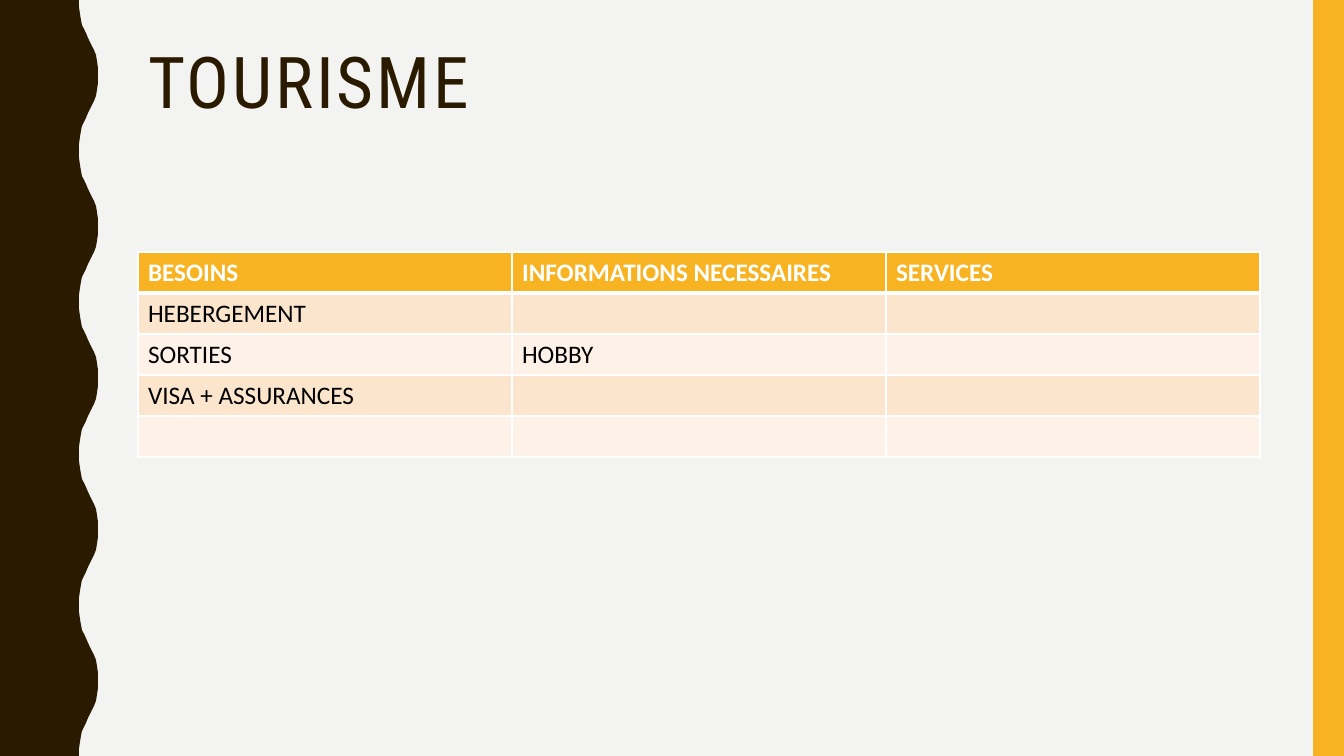
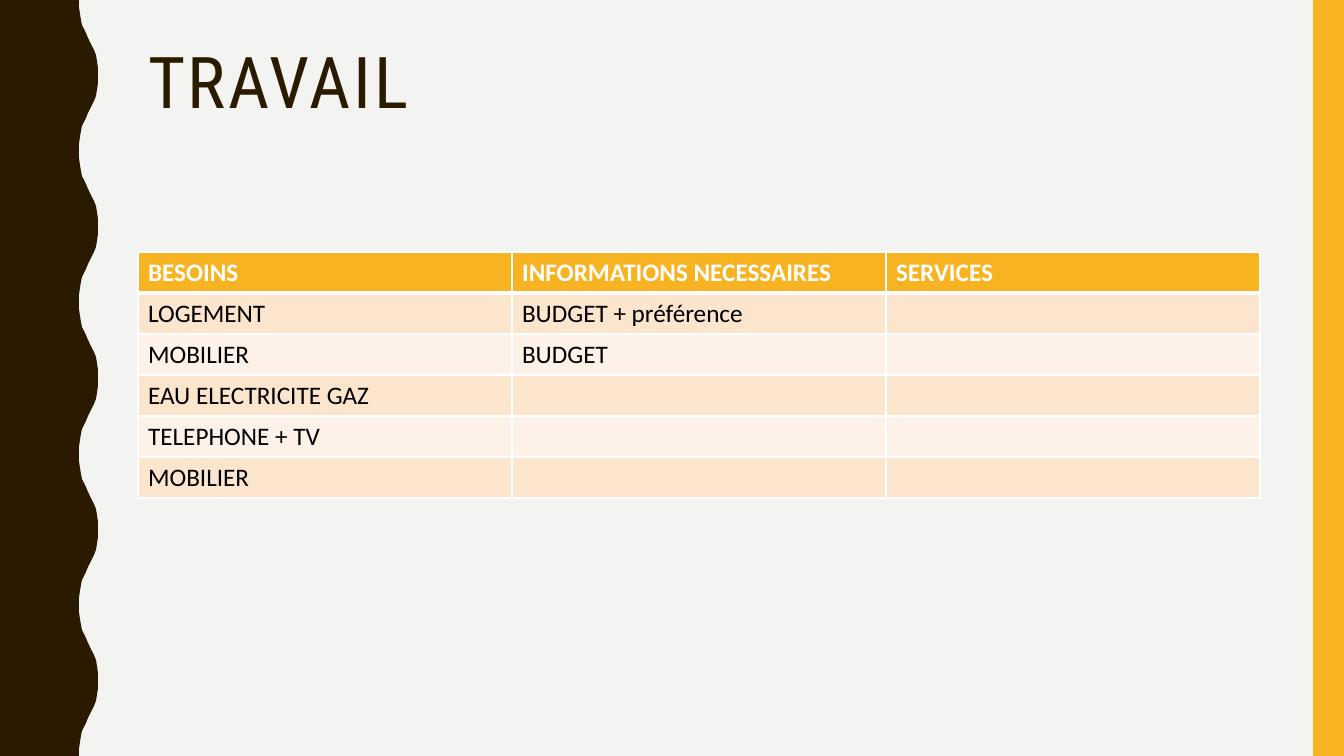
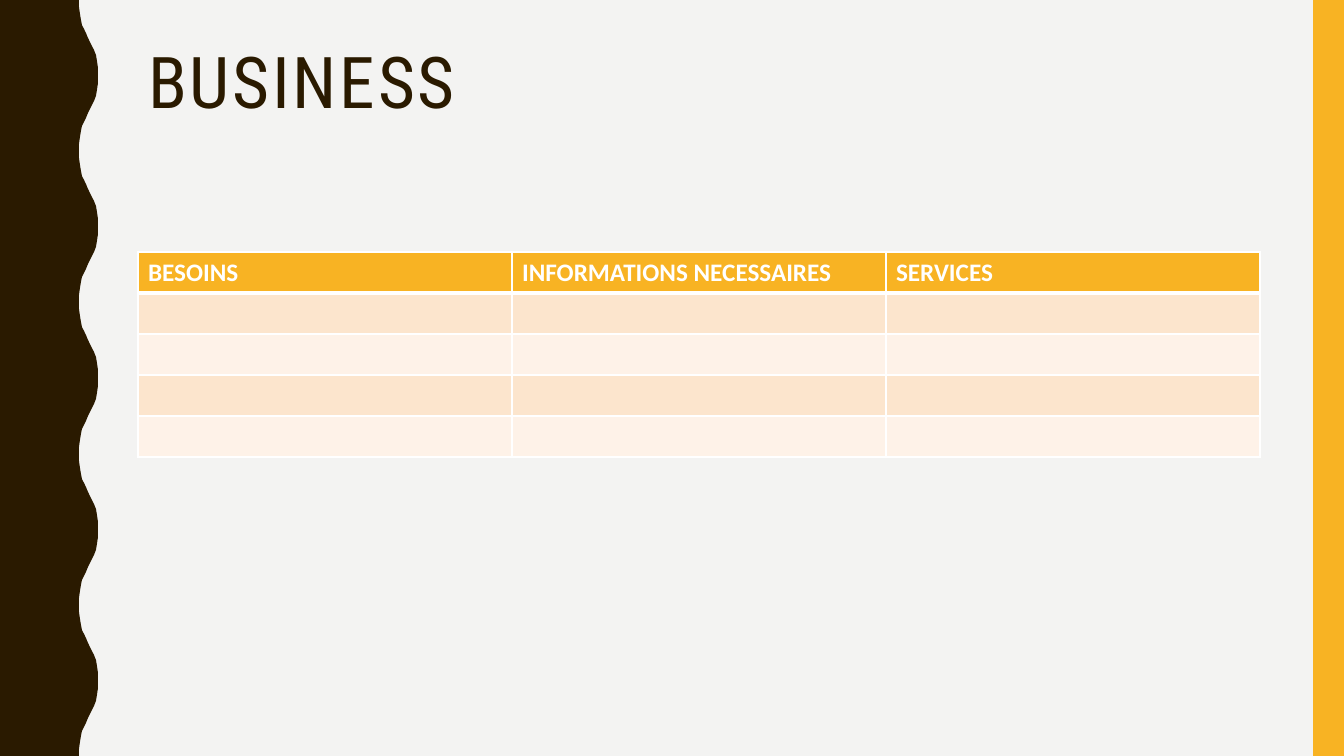
from pptx import Presentation
from pptx.dml.color import RGBColor
from pptx.enum.shapes import MSO_SHAPE
from pptx.enum.text import MSO_ANCHOR, MSO_AUTO_SIZE, PP_ALIGN
from pptx.oxml.ns import qn
from pptx.util import Pt
from lxml.etree import SubElement

PX = 914400 / 100.8
W, H = 1344, 756
LEFT, CONTENT_W = 138, 1122
COLORS = {
    "background": "F3F3F2",
    "brown": "2A1A00",
    "amber": "F8B323",
    "peach": "FCE5CD",
    "cream": "FEF2E8",
    "white": "FFFFFF",
    "black": "000000",
}
TITLE_FONT, BODY_FONT = "Roboto Condensed", "Calibri"
WAVES = 5
RISE = [(79, 0), (79, 7), (80, 14), (81, 20), (82, 25), (84, 29), (86, 33), (88, 38),
        (90, 42), (92, 46), (94, 50), (96, 55), (97, 61), (98, 68)]
HEADERS = ["BESOINS", "INFORMATIONS NECESSAIRES", "SERVICES"]
SLIDES = [
    ("TOURISME", [["HEBERGEMENT"], ["SORTIES", "HOBBY"], ["VISA + ASSURANCES"], []]),
    ("TRAVAIL", [["LOGEMENT", "BUDGET + préférence"], ["MOBILIER", "BUDGET"],
                 ["EAU ELECTRICITE GAZ"], ["TELEPHONE + TV"], ["MOBILIER"]]),
    ("BUSINESS", [[], [], [], []]),
]


def px(n):
    return round(n * PX)


def rgb(name):
    return RGBColor.from_string(COLORS[name])


def paint(fill, color):
    fill.solid()
    fill.fore_color.rgb = rgb(color)


def add_run(p, text, font, size, color, bold=False):
    r = p.add_run()
    r.text = text
    r.font.name = font
    r.font.size = Pt(size)
    r.font.bold = bold
    r.font.color.rgb = rgb(color)
    return r


def wave_points():
    period = H / WAVES
    crest = [(98, period / 2)]
    fall = [(x, period - y) for x, y in reversed(RISE[1:])]
    return [(x, round(i * period + y))
            for i in range(WAVES) for x, y in RISE + crest + fall]


def add_bands(s, layout):
    builder = s.shapes.build_freeform(0, 0, scale=PX)
    builder.add_line_segments(wave_points() + [(79, H), (0, H)], close=True)
    wave = builder.convert_to_shape()
    stripe = s.shapes.add_shape(MSO_SHAPE.RECTANGLE, px(1313), 0, px(W - 1313), px(H))
    for i, (sp, color) in enumerate([(wave, "brown"), (stripe, "amber")]):
        paint(sp.fill, color)
        sp.line.fill.background()
        sp.shadow.inherit = False
        sp.element.xpath(".//p:cNvPr")[0].set("id", str(20 + i))
        layout.shapes.element.insert(2 + i, sp.element)


def set_title(s, text):
    sp = s.shapes.title
    sp.left, sp.top, sp.width, sp.height = px(LEFT), px(42), px(CONTENT_W), px(164)
    tf = sp.text_frame
    tf.word_wrap = True
    tf.auto_size = MSO_AUTO_SIZE.NONE
    tf.vertical_anchor = MSO_ANCHOR.TOP
    p = tf.paragraphs[0]
    p.alignment = PP_ALIGN.LEFT
    p.line_spacing = 0.9
    r = add_run(p, text, TITLE_FONT, 51, "brown")
    r.font._element.set("spc", "200")


def set_borders(cell, widths):
    tcPr = cell._tc.get_or_add_tcPr()
    for i, (side, width) in enumerate(widths.items()):
        ln = SubElement(tcPr, qn("a:ln" + side), w=str(Pt(width)))
        fill = SubElement(ln, qn("a:solidFill"))
        SubElement(fill, qn("a:srgbClr"), val=COLORS["white"])
        tcPr.insert(i, ln)


def add_needs_table(s, body):
    rows = [HEADERS] + body
    cols, row_h = len(HEADERS), 41
    table = s.shapes.add_table(len(rows), cols, px(LEFT), px(252),
                               px(CONTENT_W), px(row_h * len(rows))).table
    table.horz_banding = False
    for col in table.columns:
        col.width = px(CONTENT_W / cols)
    for i, texts in enumerate(rows):
        table.rows[i].height = px(row_h)
        header = i == 0
        fill = "amber" if header else ("cream", "peach")[i % 2]
        for j in range(cols):
            cell = table.cell(i, j)
            paint(cell.fill, fill)
            set_borders(cell, {"L": 1, "R": 1, "T": 3 if i == 1 else 1, "B": 3 if header else 1})
            if j < len(texts):
                add_run(cell.text_frame.paragraphs[0], texts[j], BODY_FONT, 18,
                        "white" if header else "black", header)


def main():
    prs = Presentation()
    prs.slide_width, prs.slide_height = px(W), px(H)
    paint(prs.slide_master.background.fill, "background")
    layout = prs.slide_layouts.get_by_name("Title Only")
    for i, (title, body) in enumerate(SLIDES):
        s = prs.slides.add_slide(layout)
        if i == 0:
            add_bands(s, layout)
        set_title(s, title)
        add_needs_table(s, body)
    prs.save("out.pptx")


main()
